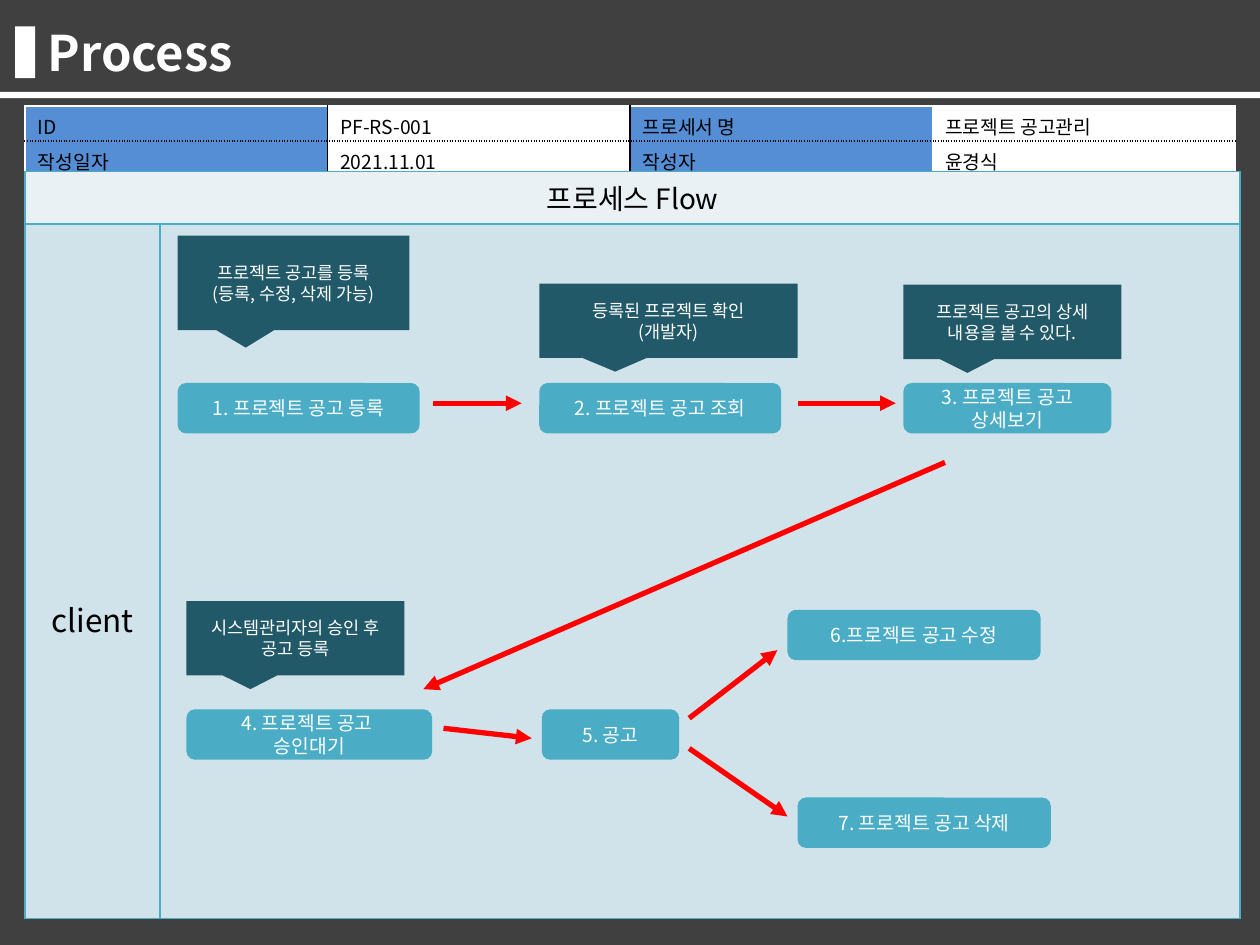
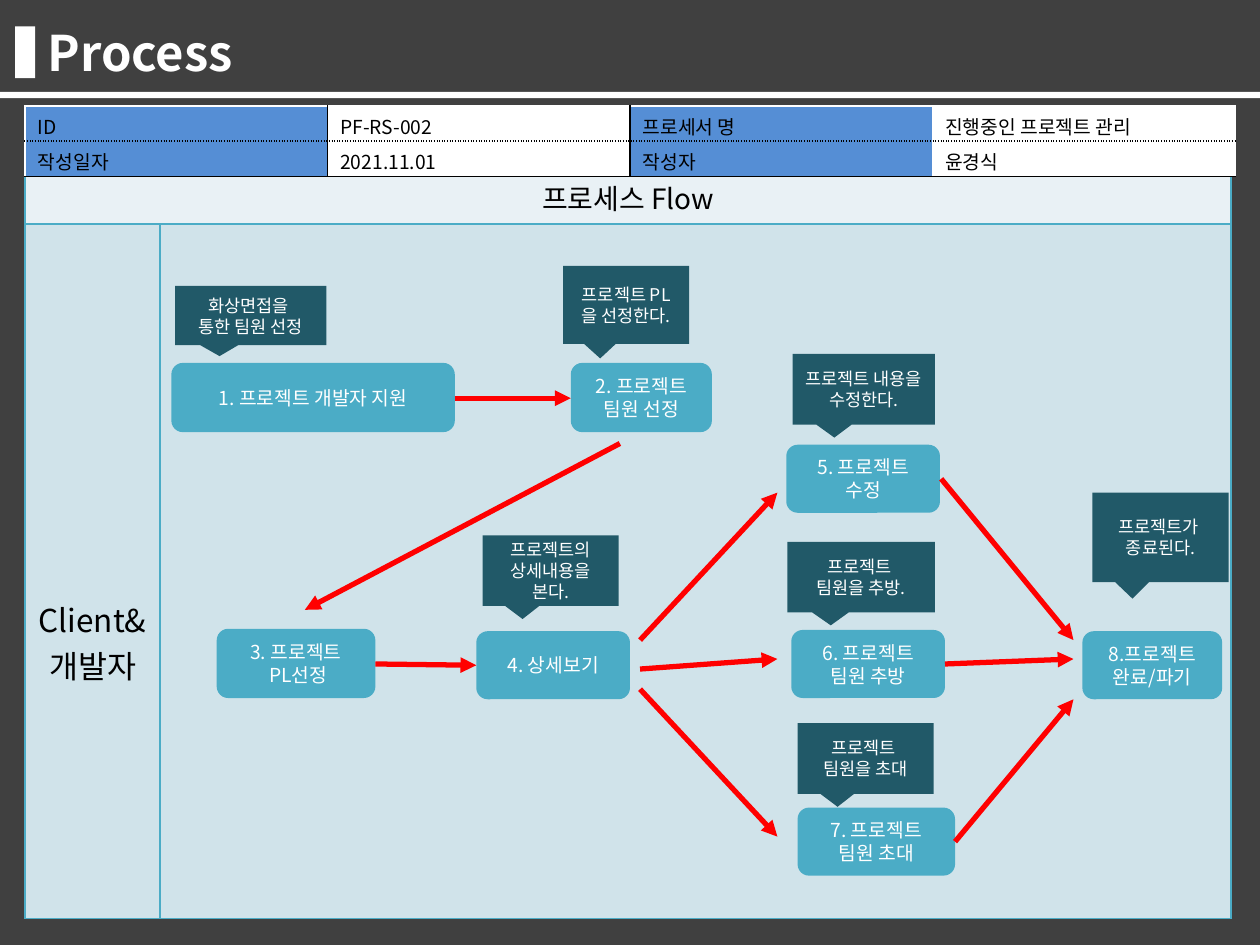
"""Build two process flow slides on a grid of 100 columns by 75 rows."""
import dataclasses
import typing

import lxml.etree
import pptx
import pptx.dml.color
import pptx.enum.shapes
import pptx.enum.text
import pptx.oxml.ns
import pptx.util

FONT = "Noto Sans CJK KR"
DARK, WHITE, BLACK, RED = "404040", "FFFFFF", "000000", "FF0000"
BLUE, AQUA, TEAL, PALE, MIST = "558ED5", "4BACC6", "215968", "D0E3EA", "E9F1F5"
KIND = pptx.enum.shapes.MSO_SHAPE
ALIGN = pptx.enum.text.PP_ALIGN
MIDDLE = pptx.enum.text.MSO_ANCHOR.MIDDLE

deck = pptx.Presentation()
deck.slide_width = pptx.util.Inches(10)
deck.slide_height = pptx.util.Inches(7.5)
UNIT = deck.slide_width / 100


@dataclasses.dataclass
class Step:
    """A numbered step: place in grid units and text, lines split by a bar."""
    left: float
    top: float
    width: float
    height: float
    text: str


class Note(Step):
    """A callout that explains a step."""


@dataclasses.dataclass
class Arrow:
    """A red arrow between two grid points."""
    x1: float
    y1: float
    x2: float
    y2: float


@dataclasses.dataclass
class Page:
    """The content of one slide."""
    code: str
    name: str
    actor: str
    width: float
    flow_last: bool
    marks: list[typing.Any]


def grid(*units: float) -> list[int]:
    """Turn grid units into lengths."""
    return [round(unit * UNIT) for unit in units]


def paint(form: typing.Any, color: str) -> None:
    """Give a fill or a line a solid colour."""
    form.solid()
    form.fore_color.rgb = pptx.dml.color.RGBColor.from_string(color)


def node(parent: typing.Any, tag: str, **attrs: str) -> typing.Any:
    """Append a drawing element."""
    return lxml.etree.SubElement(parent, pptx.oxml.ns.qn(tag), attrs)


def write(frame: typing.Any, text: str, size: float, color: str,
          align: typing.Any = ALIGN.CENTER, bold: bool = False) -> None:
    """Write each line as a paragraph with one run."""
    for index, line in enumerate(text.split("|")):
        para = frame.add_paragraph() if index else frame.paragraphs[0]
        para.alignment = align
        run = para.add_run()
        run.text = line
        run.font.size = pptx.util.Pt(size)
        run.font.bold = bold
        paint(run.font.fill, color)
        run.font.name = FONT
        node(run._r.get_or_add_rPr(), "a:ea", typeface=FONT)


def block(slide: typing.Any, kind: typing.Any, place: tuple, color: str) -> typing.Any:
    """Draw a plain filled shape."""
    shape = slide.shapes.add_shape(kind, *grid(*place))
    shape.shadow.inherit = False
    paint(shape.fill, color)
    shape.line.fill.background()
    return shape


def draw(slide: typing.Any, mark: typing.Any) -> None:
    """Draw a step, a note or an arrow."""
    if isinstance(mark, Arrow):
        line = slide.shapes.add_connector(
            pptx.enum.shapes.MSO_CONNECTOR.STRAIGHT,
            *grid(mark.x1, mark.y1, mark.x2, mark.y2))
        paint(line.line.fill, RED)
        line.line.width = pptx.util.Pt(3)
        props = line._element.spPr
        node(props.find(pptx.oxml.ns.qn("a:ln")), "a:tailEnd", type="triangle")
        node(props, "a:effectLst")
        return
    place = (mark.left, mark.top, mark.width, mark.height)
    if isinstance(mark, Note):
        shape = block(slide, KIND.RECTANGULAR_CALLOUT, place, TEAL)
        shape.adjustments[0], shape.adjustments[1] = -0.206, 0.685
        size = 10
    else:
        shape = block(slide, KIND.ROUNDED_RECTANGLE, place, AQUA)
        shape.adjustments[0] = 0.167
        size = 11
    shape.text_frame.vertical_anchor = MIDDLE
    write(shape.text_frame, mark.text, size, WHITE)


def style(cell: typing.Any, fill: str, edges: dict[str, tuple[str, str]]) -> None:
    """Set the borders and the fill of a cell."""
    props = cell._tc.get_or_add_tcPr()
    for side in "LRTB":
        color, dash = edges[side]
        edge = node(props, f"a:ln{side}", w=str(pptx.util.Pt(1)))
        node(node(edge, "a:solidFill"), "a:srgbClr", val=color)
        node(edge, "a:prstDash", val=dash)
    paint(cell.fill, fill)


def frame(slide: typing.Any, left: float, top: float,
          cols: list[float], rows: list[float]) -> typing.Any:
    """Add a table with the given columns and rows and no banding."""
    table = slide.shapes.add_table(
        len(rows), len(cols), *grid(left, top, sum(cols), sum(rows))).table
    table.first_row = table.horz_banding = False
    for col, width in zip(table.columns, grid(*cols)):
        col.width = width
    for row, height in zip(table.rows, grid(*rows)):
        row.height = height
    return table


def head(slide: typing.Any, page: Page) -> None:
    """Draw the table that identifies the process."""
    table = frame(slide, 2, 8.4, [24] * 4, [2.8] * 2)
    texts = [["ID ", page.code, "프로세서 명", page.name],
             ["작성일자", "2021.11.01", "작성자", "윤경식"]]
    sides = [(color, "solid") for color in (WHITE, BLACK, BLACK, WHITE, WHITE)]
    rules = [(WHITE, "solid"), (BLACK, "sysDot"), (BLACK, "solid")]
    for y, line in enumerate(texts):
        for x, text in enumerate(line):
            cell = table.cell(y, x)
            style(cell, WHITE if x % 2 else BLUE,
                  dict(L=sides[x], R=sides[x + 1], T=rules[y], B=rules[y + 1]))
            cell.margin_bottom = 0
            write(cell.text_frame, text, 11, BLACK, ALIGN.LEFT)


def flow(slide: typing.Any, page: Page) -> None:
    """Draw the table behind the flow."""
    table = frame(slide, 2, 13.6, [10.7, page.width - 10.7], [4.2, 55.1])
    for y, fill in enumerate((MIST, PALE)):
        for x in range(2):
            style(table.cell(y, x), fill, dict.fromkeys("LRTB", (AQUA, "solid")))
    title, actor = table.cell(0, 0), table.cell(1, 0)
    title.merge(table.cell(0, 1))
    write(title.text_frame, "프로세스 Flow", 16, BLACK)
    actor.margin_top = grid(29.5)[0]
    write(actor.text_frame, page.actor, 18, BLACK)


def build(page: Page) -> None:
    """Draw a whole slide."""
    slide = deck.slides.add_slide(deck.slide_layouts[6])
    block(slide, KIND.RECTANGLE, (0, 0, 100, 75), DARK)
    title = slide.shapes.add_textbox(*grid(2.8, 1.3, 89.8, 5.7)).text_frame
    title.word_wrap = True
    title.vertical_anchor = MIDDLE
    write(title, "Process", 28, WHITE, ALIGN.LEFT, True)
    block(slide, KIND.RECTANGLE, (1.2, 2.1, 1.6, 4.1), WHITE)
    block(slide, KIND.RECTANGLE, (0, 7.3, 100, 0.5), WHITE)
    for table in (head, flow) if page.flow_last else (flow, head):
        table(slide, page)
    for mark in page.marks:
        draw(slide, mark)


PAGES = [
    Page("PF-RS-001", "프로젝트 공고관리", "client", 96.4, True, [
        Step(42.8, 30.4, 19.2, 4, "2. 프로젝트 공고 조회"),
        Step(71.7, 30.4, 16.5, 4, "3. 프로젝트 공고|상세보기"),
        Arrow(75, 36.7, 33.6, 54.7),
        Note(14.1, 18.7, 18.4, 7.5, "프로젝트 공고를 등록|(등록, 수정, 삭제 가능)"),
        Note(42.8, 22.5, 20.5, 5.9, "등록된 프로젝트 확인|(개발자)"),
        Note(71.7, 22.6, 17.3, 5.9, "프로젝트 공고의 상세 내용을 볼 수 있다."),
        Step(14.8, 56.3, 19.5, 4, "4. 프로젝트 공고 |승인대기"),
        Step(62.5, 48.4, 20.1, 4, "6.프로젝트 공고 수정"),
        Step(63.3, 63.3, 20.1, 4, "7. 프로젝트 공고 삭제"),
        Note(14.8, 47.7, 17.3, 5.9, "시스템관리자의 승인 후 공고 등록"),
        Arrow(35.2, 57.8, 42.2, 58.6),
        Step(43, 56.3, 10.9, 4, "5. 공고"),
        Step(14.1, 30.4, 19.2, 4, "1. 프로젝트 공고 등록"),
        Arrow(34.4, 32, 41.4, 32),
        Arrow(63.3, 32, 71.1, 32),
        Arrow(54.7, 57, 61.7, 51.6),
        Arrow(54.7, 59.4, 62.5, 64.8),
    ]),
    Page("PF-RS-002", "진행중인 프로젝트 관리", "Client& |개발자", 95.7, False, [
        Step(13.6, 28.8, 22.5, 5.5, "1. 프로젝트 개발자 지원"),
        Step(45.3, 28.8, 11.2, 5.5, "2. 프로젝트 팀원 선정"),
        Step(17.2, 49.9, 12.6, 5.5, "3. 프로젝트| PL선정"),
        Step(37.8, 50.1, 12.2, 5.4, "4. 상세보기"),
        Arrow(36.1, 31.6, 45.3, 31.6),
        Note(13.9, 22.7, 12, 4.7, "화상면접을 |통한 팀원 선정"),
        Note(44.7, 21.1, 10, 6.2, "프로젝트 PL을 선정한다."),
        Note(38.3, 42.5, 10.8, 5.6, "프로젝트의 상세내용을 본다."),
        Arrow(50.8, 50.8, 61.7, 39.1),
        Step(62.4, 35.3, 12.2, 5.4, "5. 프로젝트 수정"),
        Note(62.9, 28.1, 11.3, 5.6, "프로젝트 내용을 수정한다."),
        Step(62.8, 50, 12.2, 5.4, "6. 프로젝트 팀원 추방"),
        Arrow(50.8, 53.1, 61.7, 52.3),
        Note(62.5, 43, 11.7, 5.6, "프로젝트 |팀원을 추방."),
        Step(63.3, 64.1, 12.5, 5.4, "7. 프로젝트 팀원 초대"),
        Note(63.3, 57.4, 10.8, 5.6, "프로젝트 |팀원을 초대"),
        Arrow(50.8, 54.7, 61.7, 66.4),
        Arrow(75.8, 66.8, 85.2, 55.5),
        Arrow(75, 52.7, 85.2, 52.3),
        Arrow(74.7, 38, 85.2, 50.8),
        Step(85.9, 50.1, 11.1, 5.4, "8.프로젝트 완료/파기"),
        Note(86.7, 39.1, 10.8, 7.1, "프로젝트가 |종료된다."),
        Arrow(49.2, 35.2, 24.2, 48.4),
        Arrow(29.8, 52.7, 37.8, 52.8),
    ]),
]

for page in PAGES:
    build(page)
deck.save("out.pptx")
